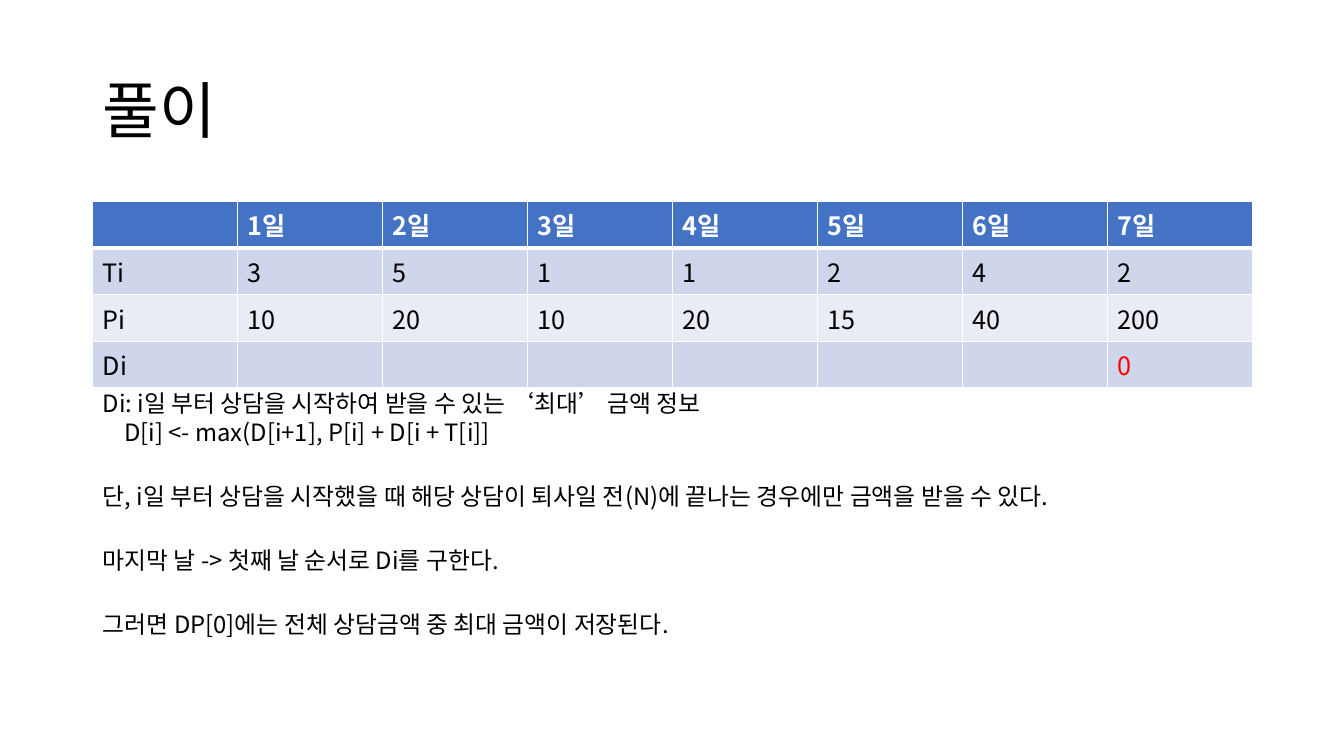
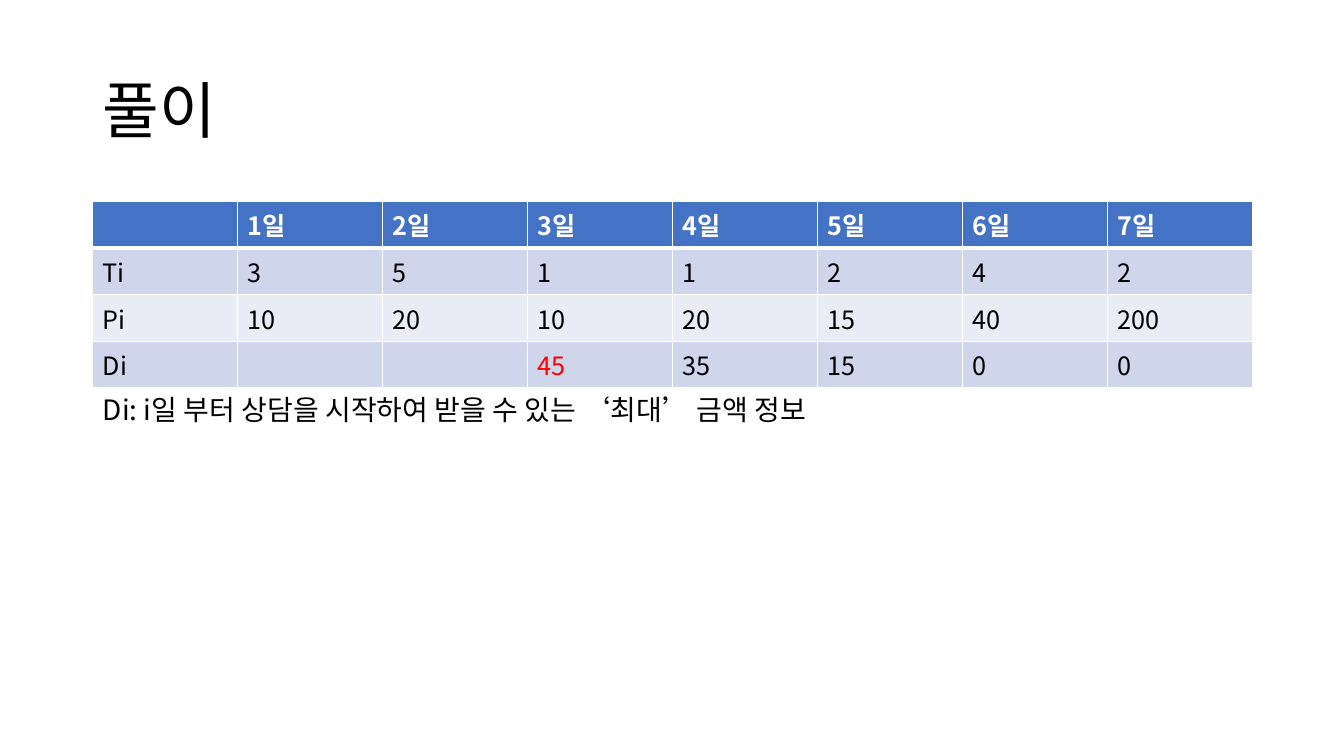
from lxml import etree
from pptx import Presentation
from pptx import util as u
from pptx.dml.color import RGBColor
from pptx.enum import text as t
from pptx.oxml.ns import qn

FONT = "Noto Sans CJK KR"
BLACK, WHITE, RED = "000000", "FFFFFF", "FF0000"
HEADER, BAND_DARK, BAND_LIGHT = "4472C4", "CFD5EA", "E9EBF5"
LEFT, WIDTH = u.Inches(0.92), u.Inches(11.5)

DAYS = [""] + [f"{day}일" for day in range(1, 8)]
TIMES = ["Ti", "3", "5", "1", "1", "2", "4", "2"]
PAYS = ["Pi", "10", "20", "10", "20", "15", "40", "200"]
DEFINITION = "Di: i일 부터 상담을 시작하여 받을 수 있는 ‘최대’ 금액 정보"


def rgb(value):
    """Turn a hex string into a colour."""
    return RGBColor.from_string(value)


def write(paragraph, content, size=18, color=BLACK, bold=False,
          line_spacing=None, before=0, indent=0):
    """Write one formatted run into a paragraph."""
    run = paragraph.add_run()
    run.text = content
    font = run.font
    font.size, font.bold = u.Pt(size), bold
    font.color.rgb = rgb(color)
    font.name = FONT
    latin = font._element.find(qn("a:latin"))
    east_asian = etree.Element(qn("a:ea"), typeface=FONT)
    latin.addnext(east_asian)
    paragraph.alignment = t.PP_ALIGN.LEFT
    paragraph.space_before = u.Pt(before)
    if line_spacing:
        paragraph.line_spacing = line_spacing
    if indent:
        paragraph._p.get_or_add_pPr().set("marL", str(u.Inches(indent)))


def place(shape, top, height):
    """Put a placeholder on the shared left edge and width."""
    shape.left, shape.top = LEFT, u.Inches(top)
    shape.width, shape.height = WIDTH, u.Inches(height)


def prepare_layout(presentation):
    """Set the slide size and the shared title and body places."""
    presentation.slide_width = u.Inches(13.33)
    presentation.slide_height = u.Inches(7.5)
    layout = presentation.slide_layouts.get_by_name("Title and Content")
    title, body = list(layout.placeholders)[:2]
    place(title, 0.4, 1.45)
    place(body, 3.88, 2.87)
    return layout


def add_title(slide, content):
    """Fill the title placeholder."""
    frame = slide.shapes.title.text_frame
    frame.vertical_anchor = t.MSO_ANCHOR.MIDDLE
    frame.auto_size = t.MSO_AUTO_SIZE.NONE
    write(frame.paragraphs[0], content, size=44, line_spacing=0.9)


def add_body(slide, lines, **style):
    """Fill the body with unbulleted lines, each with its own extra format."""
    frame = slide.placeholders[1].text_frame
    frame.auto_size = t.MSO_AUTO_SIZE.NONE
    for index, (content, extra) in enumerate(lines):
        paragraph = frame.add_paragraph() if index else frame.paragraphs[0]
        properties = paragraph._p.get_or_add_pPr()
        properties.set("marL", "0")
        properties.set("indent", "0")
        etree.SubElement(properties, qn("a:buNone"))
        write(paragraph, content, **{**style, **extra})


def set_borders(cell, bottom):
    """Draw white cell borders, with the given bottom width in points."""
    properties = cell._tc.get_or_add_tcPr()
    widths = {"lnL": 1, "lnR": 1, "lnT": 1, "lnB": bottom}
    for index, (side, width) in enumerate(widths.items()):
        line = etree.Element(qn(f"a:{side}"), w=str(u.Pt(width)))
        fill = etree.SubElement(line, qn("a:solidFill"))
        etree.SubElement(fill, qn("a:srgbClr"), val=WHITE)
        properties.insert(index, line)


def add_schedule(slide, results, current):
    """Add the schedule table, with the current day's result in red."""
    rows = [DAYS, TIMES, PAYS, ["Di"] + results]
    table = slide.shapes.add_table(len(rows), len(DAYS), LEFT, u.Inches(2),
                                   WIDTH, u.Inches(1.62)).table
    for row_index, values in enumerate(rows):
        is_header = row_index == 0
        band = BAND_DARK if row_index % 2 else BAND_LIGHT
        for column, value in enumerate(values):
            cell = table.cell(row_index, column)
            cell.fill.solid()
            cell.fill.fore_color.rgb = rgb(HEADER if is_header else band)
            set_borders(cell, bottom=3 if is_header else 1)
            is_current = row_index == len(rows) - 1 and column == current
            color = WHITE if is_header else RED if is_current else BLACK
            if value:
                write(cell.text_frame.paragraphs[0], value, color=color,
                      bold=is_header)


def add_solution_slide(presentation, layout, lines, results, current, **style):
    """Add one solution step: title, explanation and table."""
    slide = presentation.slides.add_slide(layout)
    add_title(slide, "풀이")
    add_body(slide, lines, **style)
    add_schedule(slide, results, current)


def main():
    """Build and save the presentation."""
    presentation = Presentation()
    layout = prepare_layout(presentation)
    new_block = {"before": 31.3}
    explanation = [
        (DEFINITION, {}),
        ("D[i] <- max(D[i+1], P[i] + D[i + T[i]]", {"indent": 0.21}),
        ("단, i일 부터 상담을 시작했을 때 해당 상담이 퇴사일 전(N)에 "
         "끝나는 경우에만 금액을 받을 수 있다.", new_block),
        ("마지막 날 -> 첫째 날 순서로 Di를 구한다.", new_block),
        ("그러면 DP[0]에는 전체 상담금액 중 최대 금액이 저장된다.", new_block),
    ]
    add_solution_slide(presentation, layout, explanation, [""] * 6 + ["0"],
                       current=7, size=17, line_spacing=0.7, before=7)
    add_solution_slide(presentation, layout, [(DEFINITION, {})],
                       ["", "", "45", "35", "15", "0", "0"],
                       current=3, size=20, line_spacing=0.9, before=10)
    presentation.save("out.pptx")


main()
